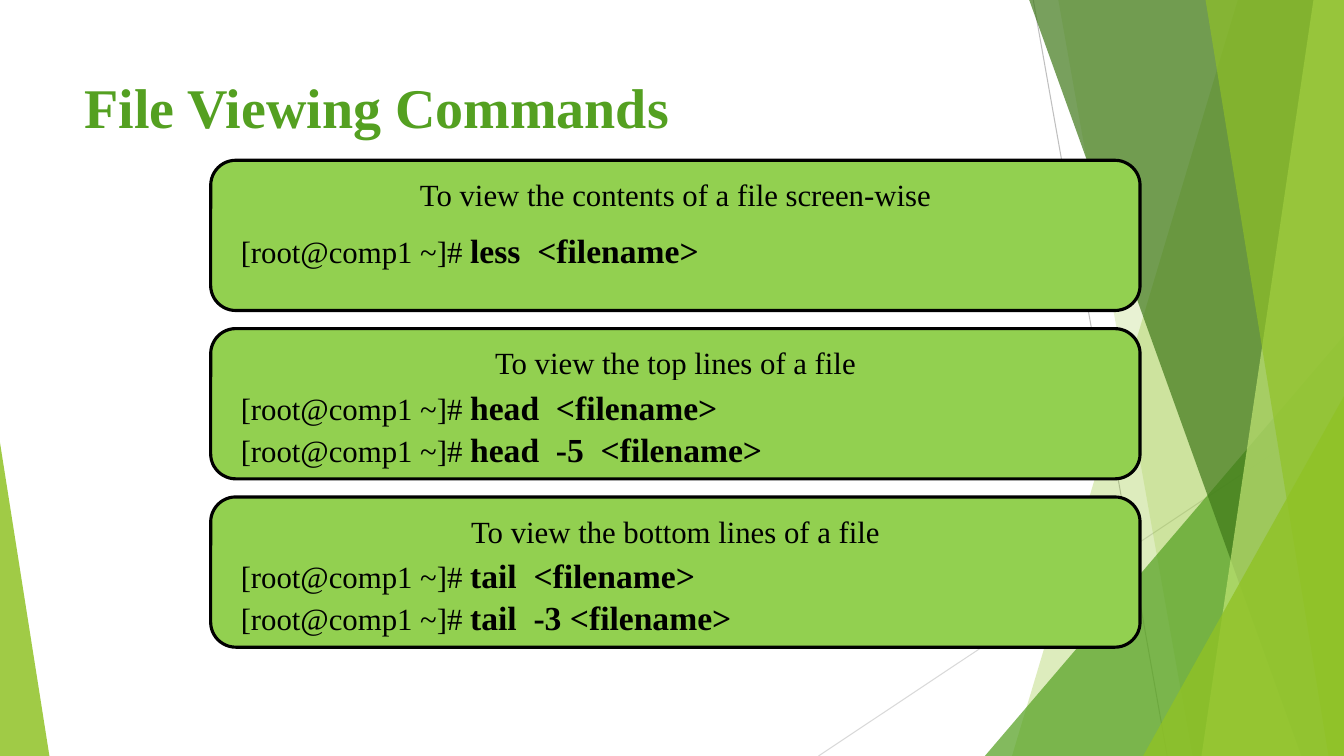
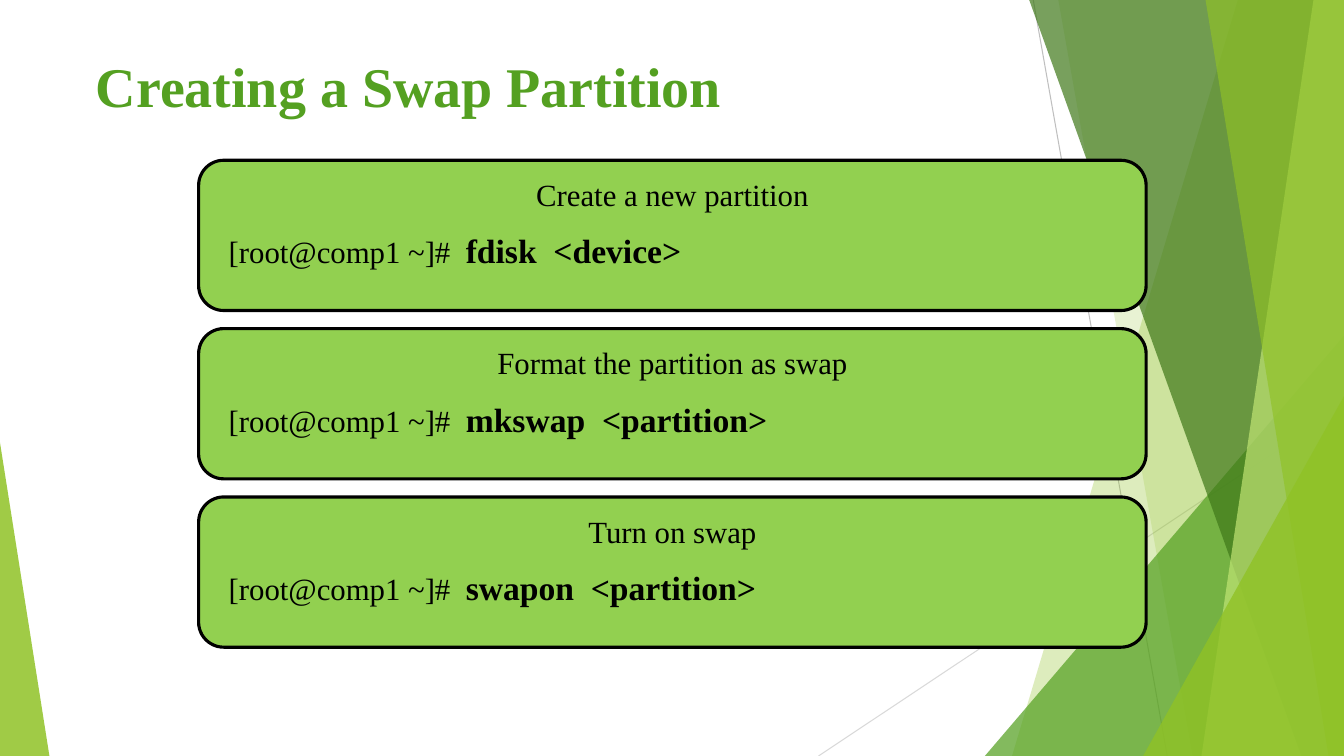
from lxml.etree import SubElement
from pptx import Presentation
from pptx.dml.color import RGBColor
from pptx.enum.shapes import MSO_CONNECTOR, MSO_SHAPE
from pptx.enum.text import MSO_ANCHOR, MSO_AUTO_SIZE, PP_ALIGN
from pptx.oxml.ns import qn
from pptx.util import Inches, Pt

# Slide size; every length below is a percentage of it
WIDTH, HEIGHT = Inches(13.333), Inches(7.5)

# Shared style
FONT = "Times New Roman"
BLACK = RGBColor(0x00, 0x00, 0x00)
TITLE_GREEN = RGBColor(0x54, 0xA0, 0x21)
CARD_GREEN = RGBColor(0x92, 0xD0, 0x50)
LIME = RGBColor(0x90, 0xC2, 0x26)
PALE_LIME = RGBColor(0xC0, 0xE4, 0x74)
FOREST = RGBColor(0x3F, 0x78, 0x19)
GREY = RGBColor(0xBF, 0xBF, 0xBF)
LIGHT_GREY = RGBColor(0xD9, 0xD9, 0xD9)

# Backdrop, from back to front
HAIRLINES = [(76.88, 0, 86.85, 100, GREY), (100, 53.73, 60.9, 100, LIGHT_GREY)]
BAND, TRIANGLE = "band", "triangle"
FACETS = [  # band: top x, bottom x; triangle: left, top, width, apex
    (BAND, (92.1, 75.3), LIME, 30),
    (BAND, (78.75, 88.73), LIME, 20),
    (TRIANGLE, (73.28, 44.4, 26.72, 1), TITLE_GREEN, 72),
    (BAND, (76.58, 96.83), FOREST, 70),
    (BAND, (97.73, 89.4), PALE_LIME, 70),
    (BAND, (89.7, 98.85), LIME, 65),
    (TRIANGLE, (85.05, 52.4, 14.95, 1), LIME, 80),
    (TRIANGLE, (0, 58.53, 3.68, 0), LIME, 85),
]

# Card stack
CARD_TOP, CARD_HEIGHT, CARD_PITCH = 21.2, 19.87, 22.27
INSET, HEADING_TOP, HEADING_HEIGHT = 1.5, 1.4, 6.27
COMMAND_LAYOUT = {1: (8.4, 6.93), 2: (6.8, 12.53)}  # lines: top, height

# Title, title position, card left and width, prompt, cards
PAGES = [
    ("File Viewing Commands", (5.55, 8.93), (15.68, 69.15), "[root@comp1 ~]# ", [
        ("To view the contents of a file screen-wise", ["less  <filename>"]),
        ("To view the top lines of a file", ["head  <filename>", "head  -5  <filename>"]),
        ("To view the bottom lines of a file", ["tail  <filename>", "tail  -3 <filename>"]),
    ]),
    ("Creating a Swap Partition", (6.38, 6.13), (14.78, 70.5), "[root@comp1 ~]#  ", [
        ("Create a new partition", ["fdisk  <device>"]),
        ("Format the partition as swap", ["mkswap  <partition>"]),
        ("Turn on swap", ["swapon  <partition>"]),
    ]),
]


def across(percent):
    return round(WIDTH * percent / 100)


def down(percent):
    return round(HEIGHT * percent / 100)


def area(left, top, width, height):
    return across(left), down(top), across(width), down(height)


def paint(shape, color, opacity=100):
    """Flat fill without line or shadow."""
    shape.shadow.inherit = False
    shape.fill.solid()
    shape.fill.fore_color.rgb = color
    shape.line.fill.background()
    if opacity < 100:
        tint = shape.element.spPr.find(".//" + qn("a:srgbClr"))
        SubElement(tint, qn("a:alpha"), val=str(opacity * 1000))


def add_span(para, text, size, color=BLACK, bold=False):
    span = para.add_run()
    span.text = text
    span.font.name = FONT
    span.font.size = Pt(size)
    span.font.bold = bold
    span.font.color.rgb = color


def add_hairline(page, x1, y1, x2, y2, color):
    line = page.shapes.add_connector(
        MSO_CONNECTOR.STRAIGHT, across(x1), down(y1), across(x2), down(y2))
    line.line.color.rgb = color
    line.line.width = Pt(0.75)
    SubElement(line.element.spPr, qn("a:effectLst"))
    return line


def add_band(page, top_x, bottom_x):
    """Band from a slanted left edge to the right side of the slide."""
    outline = page.shapes.build_freeform(across(top_x), 0)
    outline.add_line_segments([(WIDTH, 0), (WIDTH, HEIGHT), (across(bottom_x), HEIGHT)])
    return outline.convert_to_shape()


def add_triangle(page, left, top, width, apex):
    triangle = page.shapes.add_shape(
        MSO_SHAPE.ISOSCELES_TRIANGLE, *area(left, top, width, 100 - top))
    triangle.adjustments[0] = apex
    return triangle


def add_backdrop(page):
    """Draw the backdrop and hand it to the layout that all pages share."""
    layout = page.slide_layout
    for holder in list(layout.placeholders)[1:]:
        layout.shapes.element.remove(holder.element)
    parts = [add_hairline(page, *line) for line in HAIRLINES]
    for kind, geometry, color, opacity in FACETS:
        draw = add_band if kind == BAND else add_triangle
        facet = draw(page, *geometry)
        paint(facet, color, opacity)
        parts.append(facet)
    for part in parts:
        layout.shapes.element.append(part.element)


def set_title(page, text, left, top):
    title = page.shapes.title
    title.left, title.top, title.width, title.height = area(left, top, 70.5, 19.2)
    frame = title.text_frame
    frame.vertical_anchor = MSO_ANCHOR.TOP
    frame.paragraphs[0].alignment = PP_ALIGN.LEFT
    add_span(frame.paragraphs[0], text, 40, TITLE_GREEN, bold=True)


def add_panel(group, left, top, width, height):
    """Text panel in the card's colour; returns its text frame."""
    panel = group.shapes.add_shape(MSO_SHAPE.RECTANGLE, *area(left, top, width, height))
    paint(panel, CARD_GREEN)
    frame = panel.text_frame
    frame.word_wrap = True
    frame.auto_size = MSO_AUTO_SIZE.SHAPE_TO_FIT_TEXT
    frame.vertical_anchor = MSO_ANCHOR.TOP
    return frame


def add_card(page, left, top, width, heading, prompt, commands):
    group = page.shapes.add_group_shape()
    card = group.shapes.add_shape(
        MSO_SHAPE.ROUNDED_RECTANGLE, *area(left, top, width, CARD_HEIGHT))
    paint(card, CARD_GREEN)
    card.line.color.rgb = BLACK
    card.line.width = Pt(2.25)

    # Heading
    inner_left, inner_width = left + INSET, width - 2 * INSET
    frame = add_panel(group, inner_left, top + HEADING_TOP, inner_width, HEADING_HEIGHT)
    frame.paragraphs[0].alignment = PP_ALIGN.CENTER
    add_span(frame.paragraphs[0], heading, 22)

    # Commands
    offset, height = COMMAND_LAYOUT[len(commands)]
    frame = add_panel(group, inner_left, top + offset, inner_width, height)
    for index, command in enumerate(commands):
        para = frame.add_paragraph() if index else frame.paragraphs[0]
        para.alignment = PP_ALIGN.LEFT
        para.line_spacing = Pt(30)
        add_span(para, prompt, 22)
        add_span(para, command, 24, bold=True)


def main():
    deck = Presentation()
    deck.slide_width, deck.slide_height = WIDTH, HEIGHT
    layout = deck.slide_layouts.get_by_name("Title Only")
    for number, (title, title_at, (left, width), prompt, cards) in enumerate(PAGES):
        page = deck.slides.add_slide(layout)
        if number == 0:
            add_backdrop(page)
        set_title(page, title, *title_at)
        for row, (heading, commands) in enumerate(cards):
            add_card(page, left, CARD_TOP + row * CARD_PITCH, width, heading, prompt, commands)
    deck.save("out.pptx")


if __name__ == "__main__":
    main()
